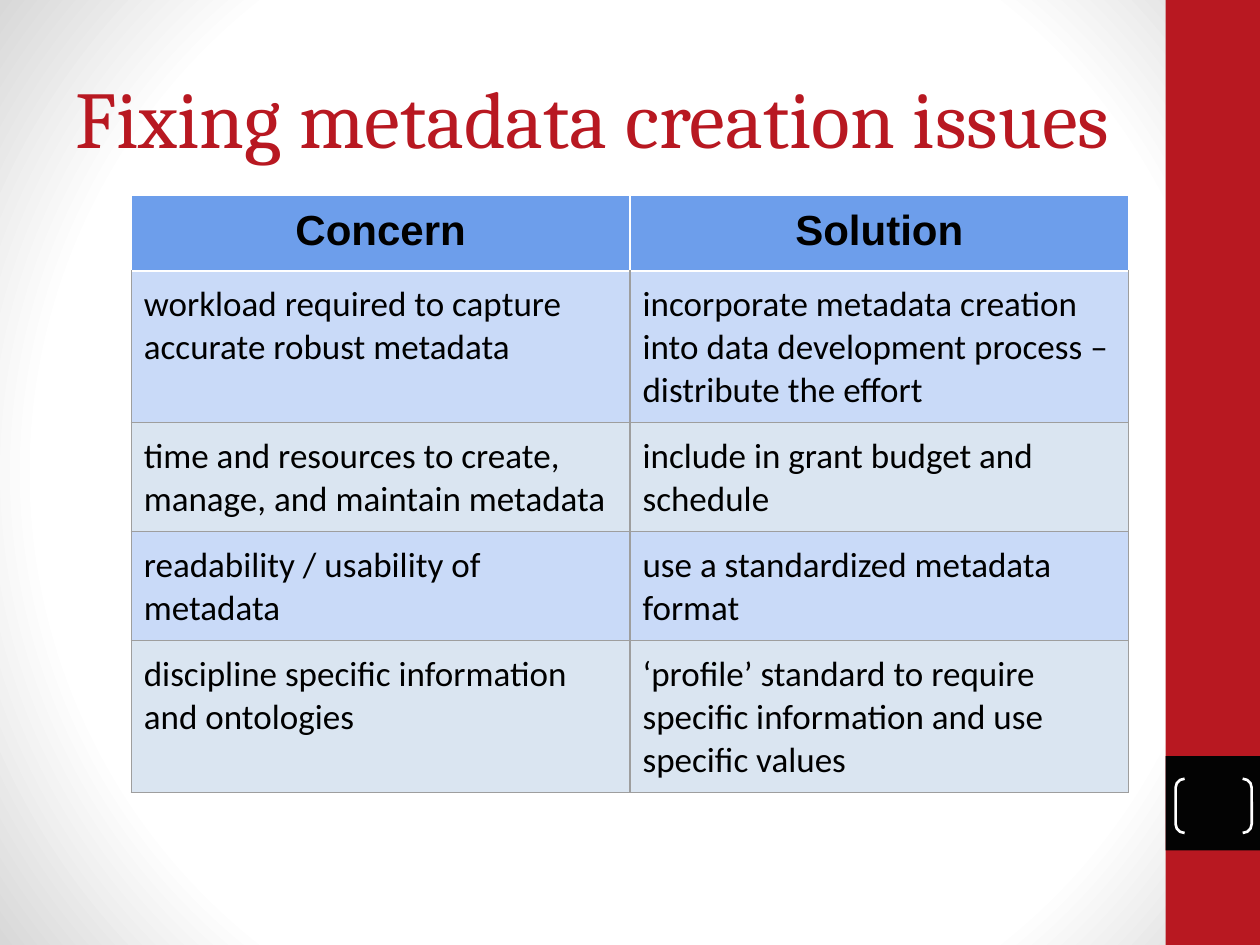
import pptx
import pptx.dml.color
import pptx.enum.shapes
import pptx.enum.text
import pptx.oxml
import pptx.oxml.ns
import pptx.util

Pt = pptx.util.Pt
RGBColor = pptx.dml.color.RGBColor
SHAPE = pptx.enum.shapes.MSO_SHAPE
PP_ALIGN = pptx.enum.text.PP_ALIGN
qn = pptx.oxml.ns.qn

RED = RGBColor(0xB8, 0x18, 0x21)
NEAR_BLACK = RGBColor(0x03, 0x03, 0x03)
BLACK = RGBColor(0x00, 0x00, 0x00)
WHITE = RGBColor(0xFF, 0xFF, 0xFF)
EDGE_GRAY = RGBColor(0xD8, 0xD8, 0xD8)
BORDER_GRAY = RGBColor(0x9E, 0x9E, 0x9E)
HEADER_BLUE = RGBColor(0x6D, 0x9E, 0xEB)
BAND_BLUE = RGBColor(0xC9, 0xDA, 0xF8)
BAND_GRAY = RGBColor(0xDA, 0xE5, 0xF1)

INSET = Pt(7.2)
COLUMN_WIDTH = 285
ROW_HEIGHT = 30  # minimum; rows grow to fit their text

HEADER = ("Concern", "Solution")
ROWS = [
    ("workload required to capture accurate robust metadata",
     "incorporate metadata creation into data development process – distribute the effort"),
    ("time and resources to create, manage, and maintain metadata",
     "include in grant budget and schedule"),
    ("readability / usability of metadata",
     "use a standardized metadata format"),
    ("discipline specific information and ontologies",
     "‘profile’ standard to require specific information and use specific values"),
]


def set_background(s):
    """Radial gradient, white in the middle and gray at the edges."""
    s.background.fill.gradient()
    grad = s.background._cSld.find(".//" + qn("a:gradFill"))
    stops = "".join(
        f'<a:gs pos="{pos * 1000}"><a:srgbClr val="{color}"/></a:gs>'
        for pos, color in ((0, WHITE), (75, WHITE), (100, EDGE_GRAY)))
    radial = pptx.oxml.parse_xml(
        f'<a:gradFill {pptx.oxml.ns.nsdecls("a")} rotWithShape="1">'
        f'<a:gsLst>{stops}</a:gsLst><a:path path="circle">'
        '<a:fillToRect l="50000" t="50000" r="50000" b="50000"/>'
        '</a:path></a:gradFill>')
    grad.getparent().replace(grad, radial)


def add_block(s, left, top, width, height, color):
    sp = s.shapes.add_shape(SHAPE.RECTANGLE, Pt(left), Pt(top), Pt(width), Pt(height))
    sp.shadow.inherit = False
    sp.fill.solid()
    sp.fill.fore_color.rgb = color
    sp.line.fill.background()


def add_brackets(s, left, top, width, height):
    sp = s.shapes.add_shape(SHAPE.DOUBLE_BRACKET, Pt(left), Pt(top), Pt(width), Pt(height))
    sp.shadow.inherit = False
    sp.fill.background()
    sp.line.color.rgb = WHITE
    sp.line.width = Pt(1.5)


def set_insets(box):
    box.margin_left = box.margin_right = box.margin_top = box.margin_bottom = INSET


def format_text(p, font, size, color, bold=False):
    for r in p.runs:
        r.font.name = font
        r.font.size = Pt(size)
        r.font.bold = bold
        r.font.color.rgb = color


def add_title(s, text):
    tf = s.shapes.add_textbox(Pt(36), Pt(21.6), Pt(651), Pt(90)).text_frame
    tf.word_wrap = True
    tf.vertical_anchor = pptx.enum.text.MSO_ANCHOR.MIDDLE
    set_insets(tf)
    tf.text = text
    format_text(tf.paragraphs[0], "Cambria", 46, RED)


def set_borders(cell, color, top_color):
    tc_pr = cell._tc.get_or_add_tcPr()
    sides = {"lnL": color, "lnR": color, "lnT": top_color, "lnB": color}
    for i, (side, line_color) in enumerate(sides.items()):
        tc_pr.insert(i, pptx.oxml.parse_xml(
            f'<a:{side} {pptx.oxml.ns.nsdecls("a")} w="{Pt(0.75)}">'
            f'<a:solidFill><a:srgbClr val="{line_color}"/></a:solidFill></a:{side}>'))


def fill_cell(cell, text, fill):
    set_insets(cell)
    cell.fill.solid()
    cell.fill.fore_color.rgb = fill
    cell.text_frame.text = text
    return cell.text_frame.paragraphs[0]


def add_concern_table(s):
    row_count, column_count = len(ROWS) + 1, len(HEADER)
    table = s.shapes.add_table(
        row_count, column_count, Pt(75), Pt(111.6),
        Pt(COLUMN_WIDTH * column_count), Pt(ROW_HEIGHT * row_count)).table
    for c, text in enumerate(HEADER):
        cell = table.cell(0, c)
        p = fill_cell(cell, text, HEADER_BLUE)
        p.alignment = PP_ALIGN.CENTER
        format_text(p, "Arial", 24, BLACK, bold=True)
        set_borders(cell, WHITE, WHITE)
    for i, row in enumerate(ROWS):
        for c, text in enumerate(row):
            cell = table.cell(i + 1, c)
            p = fill_cell(cell, text, BAND_GRAY if i % 2 else BAND_BLUE)
            format_text(p, "Calibri", 20, BLACK)
            set_borders(cell, BORDER_GRAY, BORDER_GRAY if i else WHITE)


def main():
    prs = pptx.Presentation()
    prs.slide_width, prs.slide_height = Pt(720), Pt(540)
    s = prs.slides.add_slide(prs.slide_layouts[6])
    set_background(s)
    add_block(s, 666, 0, 54, 540, RED)
    add_block(s, 666, 432, 54, 54, NEAR_BLACK)
    add_title(s, "Fixing metadata creation issues")
    add_brackets(s, 671.75, 445, 43.5, 31)
    add_concern_table(s)
    prs.save("out.pptx")


if __name__ == "__main__":
    main()
